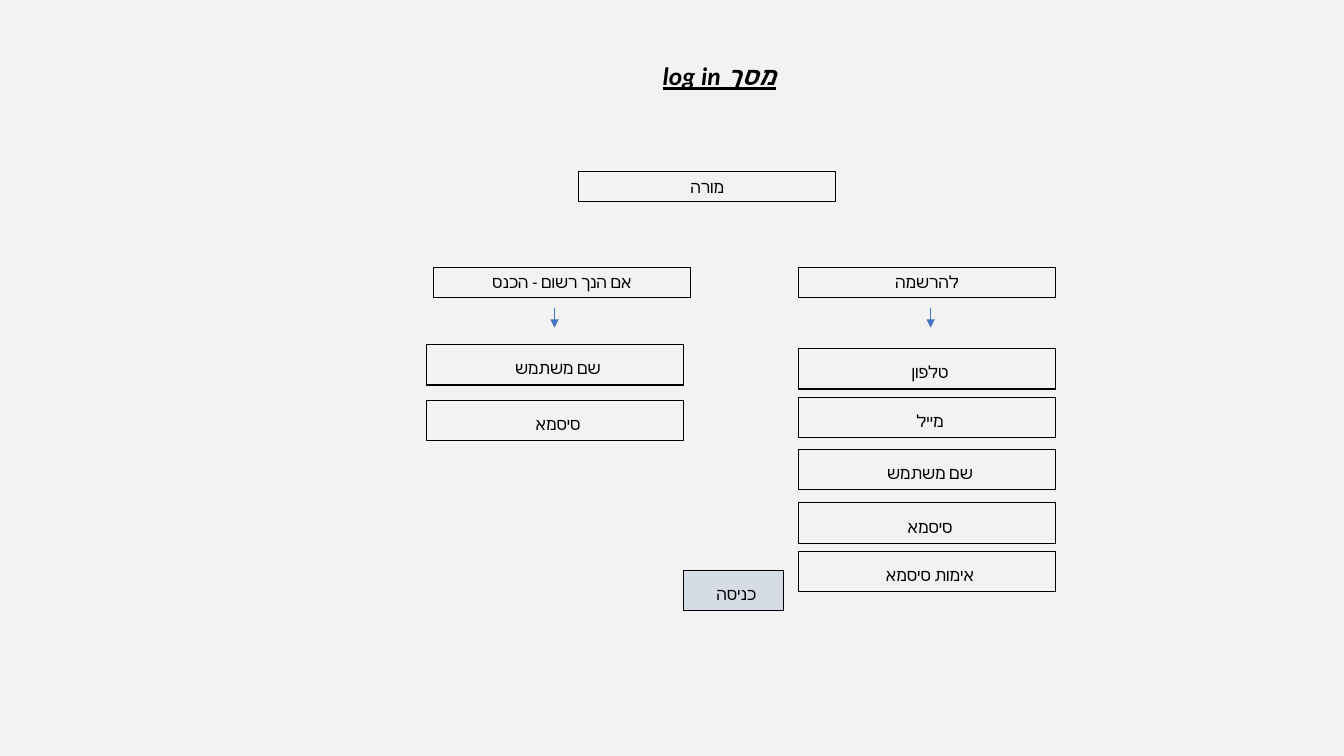
from lxml import etree
from pptx import Presentation
from pptx.dml.color import RGBColor
from pptx.enum import shapes, text
from pptx.oxml import ns
from pptx.util import Inches, Pt

INK, PAPER, BLUE, ARROW = "000000", "F2F2F2", "D6DCE5", "4472C4"
WIDE, LOW, TALL = 2.55, 0.3, 0.4


def color(code):
    return RGBColor.from_string(code)


def add_xml(parent, tag, **attrs):
    return etree.SubElement(parent, ns.qn(tag), attrs)


def add_run(para, words, **style):
    run = para.add_run()
    run.text = words
    for name, value in {"name": "Calibri", **style}.items():
        setattr(run.font, name, value)
    run.font.color.rgb = color(INK)
    add_xml(run.font._element, "a:cs", typeface="Calibri")


def set_frame(shape):
    """Prepare a centred right-to-left paragraph and return it."""
    frame = shape.text_frame
    layout = {"word_wrap": True, "vertical_anchor": text.MSO_ANCHOR.TOP,
              "auto_size": text.MSO_AUTO_SIZE.SHAPE_TO_FIT_TEXT}
    for name, value in layout.items():
        setattr(frame, name, value)
    para = frame.paragraphs[0]
    para.alignment = text.PP_ALIGN.CENTER
    para._p.get_or_add_pPr().set("rtl", "1")
    return para


def add_title(slide, words, left, top, width, height):
    title = slide.shapes.title
    box = {"left": left, "top": top, "width": width, "height": height}
    for name, value in box.items():
        setattr(title, name, Inches(value))
    add_run(set_frame(title), words, size=Pt(18), bold=True, italic=True,
            underline=True)


def add_box(slide, words, left, top, width=WIDE, height=TALL, fill=None):
    box = slide.shapes.add_shape(
        shapes.MSO_SHAPE.RECTANGLE,
        *map(Inches, (left, top, width, height)))
    box.shadow.inherit = False
    if fill:
        box.fill.solid()
        box.fill.fore_color.rgb = color(fill)
    else:
        box.fill.background()
    box.line.color.rgb = color(INK)
    box.line.width = Pt(0.75)
    para = set_frame(box)
    add_run(para, words, size=Pt(12))
    # Tall boxes end in a larger space that sets the line height
    if height == TALL:
        add_run(para, " ", size=Pt(18))


def add_arrow(slide, x, top, length=0.19):
    line = slide.shapes.add_connector(
        shapes.MSO_CONNECTOR.STRAIGHT,
        *map(Inches, (x, top, x, top + length)))
    line.line.color.rgb = color(ARROW)
    line.line.width = Pt(0.5)
    add_xml(line.line._get_or_add_ln(), "a:tailEnd", type="triangle")
    add_xml(line._element.spPr, "a:effectLst")


def add_form(slide, head, fields, left, top, inset, stem):
    """Heading, arrow and a column of (label, offset from heading) fields."""
    add_box(slide, head, left, top, height=LOW)
    add_arrow(slide, left + stem, top + 0.41)
    for label, drop in fields:
        add_box(slide, label, left + inset, top + drop)


def main():
    deck = Presentation()
    deck.slide_width, deck.slide_height = Inches(13.33), Inches(7.5)
    slide = deck.slides.add_slide(deck.slide_layouts[5])
    slide.background.fill.solid()
    slide.background.fill.fore_color.rgb = color(PAPER)

    # Title and role
    add_title(slide, "מסך log in", 5.01, 0.55, 4.25, 0.4)
    add_box(slide, "מורה", 5.74, 1.7, height=LOW)

    # Sign-up on the right, sign-in on the left
    signup = [("טלפון", 0.81), ("מייל", 1.29), ("שם משתמש", 1.81),
              ("סיסמא", 2.34), ("אימות סיסמא", 2.82)]
    signin = [("שם משתמש", 0.77), ("סיסמא", 1.32)]
    add_form(slide, "להרשמה", signup, 7.92, 2.65, 0, 1.31)
    add_form(slide, "אם הנך רשום - הכנס", signin, 4.3, 2.65, -0.07, 1.2)

    # Enter button
    add_box(slide, "כניסה", 6.78, 5.66, width=0.99, fill=BLUE)
    deck.save("out.pptx")


if __name__ == "__main__":
    main()
